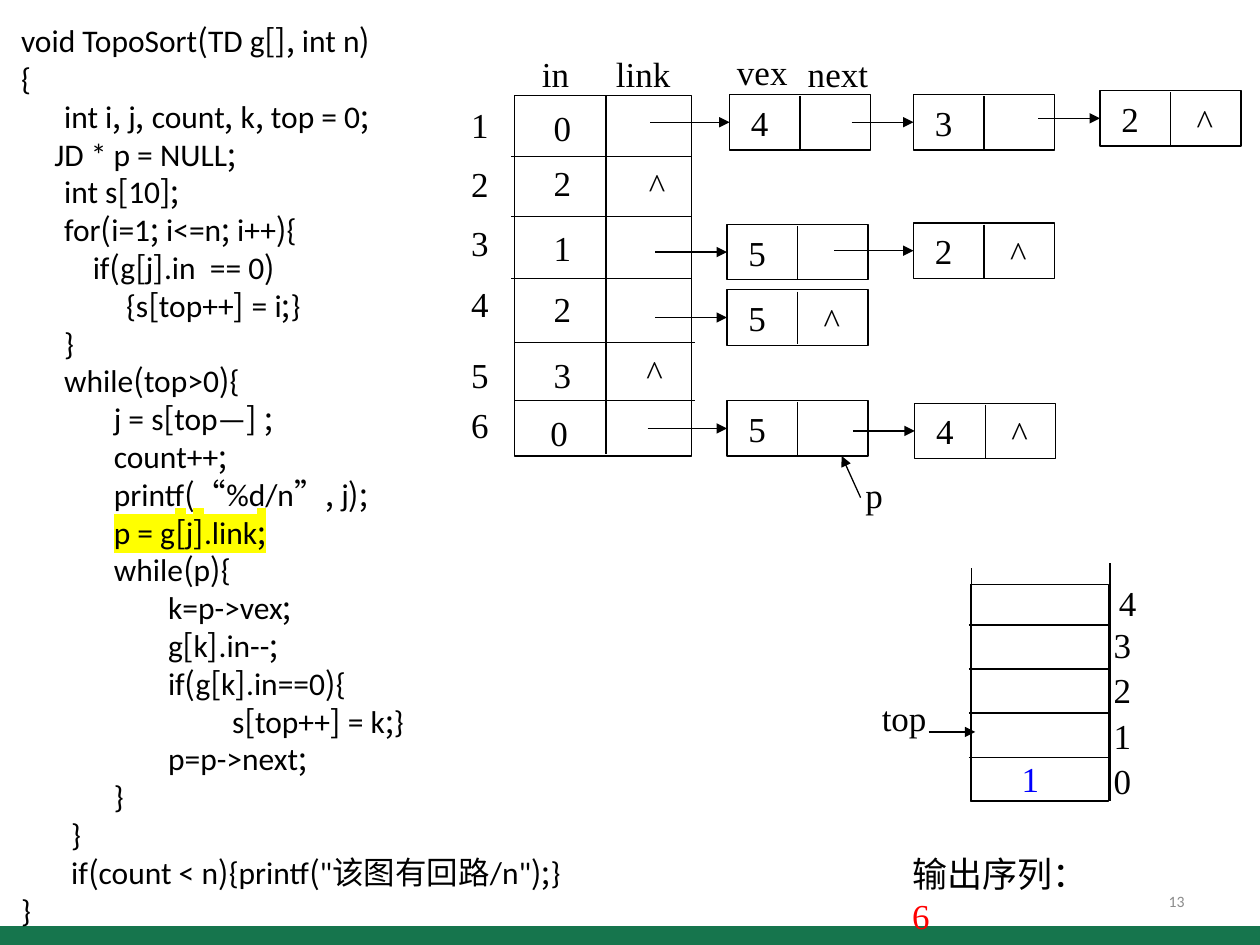
from itertools import groupby

from lxml.etree import SubElement
from pptx import Presentation
from pptx.dml.color import RGBColor
from pptx.enum.shapes import MSO_CONNECTOR, MSO_SHAPE
from pptx.enum.text import MSO_ANCHOR, PP_ALIGN
from pptx.oxml.ns import qn
from pptx.util import Pt

COLORS = {
    "ink": "000000", "paper": "FFFFFF", "bar": "16754D", "output": "FF0000",
    "stacked": "0000FF", "number": "8C8C8C", "mark": "FFFF00",
}
SERIF, SANS, CJK = "Times New Roman", "Calibri", "Noto Sans CJK SC"
NODE_W, NODE_H = 80.6, 31.7

# Indent in points, then the line of code
CODE = [
    (0, "void TopoSort(TD g[], int n)"),
    (0, "{"),
    (24.6, "int i, j, count, k, top = 0;"),
    (19, "JD * p = NULL;"),
    (24.6, "int s[10];"),
    (24.6, "for(i=1; i<=n; i++){"),
    (41, "if(g[j].in  == 0)"),
    (60, "{s[top++] = i;}"),
    (24.6, "}"),
    (24.6, "while(top>0){"),
    (53, "j = s[top—] ;"),
    (53, "count++;"),
    (53, "printf(“%d/n”, j);"),
    (53, "p = g[j].link;"),
    (53, "while(p){"),
    (84, "k=p->vex;"),
    (84, "g[k].in--;"),
    (84, "if(g[k].in==0){"),
    (120.6, "s[top++] = k;}"),
    (84, "p=p->next;"),
    (53, "}"),
    (28.6, "}"),
    (28.6, "if(count < n){printf(\"该图有回路/n\");}"),
    (0, "}"),
]
CURRENT_LINE = "p = g[j].link;"

# Left, top, vertex, start of the incoming arrow, whether the list ends here
NODES = [
    (416.9, 54, "4", 371.5, False),
    (522, 54, "3", 486.7, False),
    (628.6, 51.8, "2", 593.3, True),
    (415.4, 128.2, "5", 374.4, False),
    (522, 127.4, "2", 476.6, True),
    (415.4, 165.6, "5", 374.4, True),
    (415.4, 229, "5", 370.1, False),
    (522.7, 230.4, "4", 487.4, True),
]


def color(name):
    return RGBColor.from_string(COLORS[name])


def add_run(p, text, size=20, font=SERIF, ink="ink", mark=False):
    r = p.add_run()
    r.text = text
    r.font.size = Pt(size)
    r.font.color.rgb = color(ink)
    r.font.name = font
    rPr = r.font._element
    SubElement(rPr, qn("a:ea")).set("typeface", CJK)
    if mark:
        highlight = SubElement(rPr, qn("a:highlight"))
        SubElement(highlight, qn("a:srgbClr")).set("val", COLORS["mark"])
        rPr.find(qn("a:solidFill")).addnext(highlight)


def add_box(slide, x, y, w, h, wrap=False, anchor=MSO_ANCHOR.TOP):
    tf = slide.shapes.add_textbox(Pt(x), Pt(y), Pt(w), Pt(h)).text_frame
    tf.word_wrap = wrap
    tf.vertical_anchor = anchor
    return tf


def add_label(slide, text, x, y, w=24.3, align=PP_ALIGN.CENTER, ink="ink"):
    p = add_box(slide, x, y, w, 31, anchor=MSO_ANCHOR.MIDDLE).paragraphs[0]
    p.alignment = align
    add_run(p, text, ink=ink)


def add_rect(slide, x, y, w, h, fill=None, line="ink"):
    sp = slide.shapes.add_shape(MSO_SHAPE.RECTANGLE, Pt(x), Pt(y), Pt(w), Pt(h))
    sp.shadow.inherit = False
    if fill:
        sp.fill.solid()
        sp.fill.fore_color.rgb = color(fill)
    else:
        sp.fill.background()
    if line:
        sp.line.color.rgb = color(line)
        sp.line.width = Pt(0.75)
    else:
        sp.line.fill.background()
    return sp


def add_line(slide, x1, y1, x2, y2, arrow=False):
    cxn = slide.shapes.add_connector(
        MSO_CONNECTOR.STRAIGHT, Pt(x1), Pt(y1), Pt(x2), Pt(y2))
    cxn.line.color.rgb = color("ink")
    cxn.line.width = Pt(0.75)
    if arrow:
        SubElement(cxn.line._get_or_add_ln(), qn("a:tailEnd")).set("type", "triangle")
    SubElement(cxn._element.spPr, qn("a:effectLst"))
    return cxn


def add_node(slide, x, y, vertex, arrow_x, is_last):
    """List node with a vertex cell, a next cell and the arrow leading to it."""
    sp = add_rect(slide, x, y, NODE_W, NODE_H)
    tf = sp.text_frame
    tf.margin_left = Pt(12.2)
    tf.vertical_anchor = MSO_ANCHOR.MIDDLE
    p = tf.paragraphs[0]
    p.alignment = PP_ALIGN.LEFT
    add_run(p, vertex)
    add_line(slide, x + NODE_W / 2, y + 1, x + NODE_W / 2, y + NODE_H - 0.5)
    middle = y + NODE_H / 2
    add_line(slide, arrow_x, middle, x, middle, arrow=True).end_connect(sp, 1)
    if is_last:
        add_label(slide, "^", x + 48, y + 1.5, 23.8)


def add_code(slide):
    tf = add_box(slide, 5, 8.6, 360, 530.6, wrap=True)
    for i, (indent, line) in enumerate(CODE):
        p = tf.paragraphs[0] if i == 0 else tf.add_paragraph()
        p.line_spacing = Pt(21.6)
        pPr = p._p.get_or_add_pPr()
        pPr.set("marL", str(Pt(indent)))
        pPr.set("indent", "0")
        for is_cjk, chars in groupby(line, lambda c: c in "()[],;“”该图有回路"):
            add_run(p, "".join(chars), 18, CJK if is_cjk else SANS,
                    mark=line == CURRENT_LINE)


def add_vertex_table(slide):
    add_rect(slide, 293.8, 54.7, 101.5, 205.9)
    add_line(slide, 346.3, 54.7, 346.3, 259.2)
    for y in (89.3, 123.8, 159.1):
        add_line(slide, 292.3, y, 394.6, y)
    for y in (195.8, 229):
        add_line(slide, 294.5, y, 397.4, y)
    for text, x, y, w in (("in", 302.4, 26.6, 30.2), ("link", 344.9, 26.6, 45.4),
                          ("vex", 414, 25.2, 43.2), ("next", 454.3, 26.6, 49)):
        add_label(slide, text, x, y, w)
    index_tops = (55.4, 89.3, 123.1, 157.7, 198.7, 226.8)
    degree_tops = (57.6, 88.6, 126, 160.6, 198.7, 231.8)
    for i, (degree, y1, y2) in enumerate(zip("021230", index_tops, degree_tops), 1):
        add_label(slide, str(i), 262, y1)
        add_label(slide, degree, 307.4 if i == 6 else 309.2, y2)
    add_label(slide, "^", 363.6, 90, 23.8)
    add_label(slide, "^", 362.2, 196.6, 23.8)


def add_stack(slide):
    add_rect(slide, 554.4, 334, 79.2, 123.8, fill="paper")
    add_line(slide, 555, 324.7, 555, 457.9)
    add_line(slide, 634.3, 321.8, 634.3, 457.9)
    for i in range(4):
        y = 357.1 + 25.2 * i
        add_line(slide, 553.7, y, 632.9, y)
        add_label(slide, str(3 - i), 629.3, 352.8 + 25.9 * i, align=PP_ALIGN.LEFT)
    add_label(slide, "4", 632.2, 329, align=PP_ALIGN.LEFT)
    add_label(slide, "1", 576.7, 429.1, align=PP_ALIGN.LEFT, ink="stacked")
    add_line(slide, 530.6, 418.3, 557.3, 418.3, arrow=True)
    add_label(slide, "top", 496.8, 394.6, 40.3, PP_ALIGN.LEFT)


def add_output(slide):
    p = add_box(slide, 514.1, 483.8, 120, 31, wrap=True).paragraphs[0]
    p.line_spacing = Pt(24)
    add_run(p, "输出序列：")
    add_run(p, "6", ink="output")


def add_page_number(slide):
    tf = add_box(slide, 516.2, 500.4, 167.8, 28.8, True, MSO_ANCHOR.MIDDLE)
    p = tf.paragraphs[0]
    p.alignment = PP_ALIGN.RIGHT
    add_run(p, "13", 9, SANS, "number")


def main():
    prs = Presentation()
    prs.slide_width, prs.slide_height = Pt(720), Pt(540)
    slide = prs.slides.add_slide(prs.slide_layouts[6])
    add_rect(slide, 0, 529.2, 720, 13, fill="bar", line=None)
    add_vertex_table(slide)
    for node in NODES:
        add_node(slide, *node)
    add_output(slide)
    add_stack(slide)
    add_line(slide, 491.8, 284.4, 481, 260.6, arrow=True)
    add_label(slide, "p", 487.4, 267.1, align=PP_ALIGN.LEFT)
    add_code(slide)
    add_page_number(slide)
    prs.save("out.pptx")


if __name__ == "__main__":
    main()
